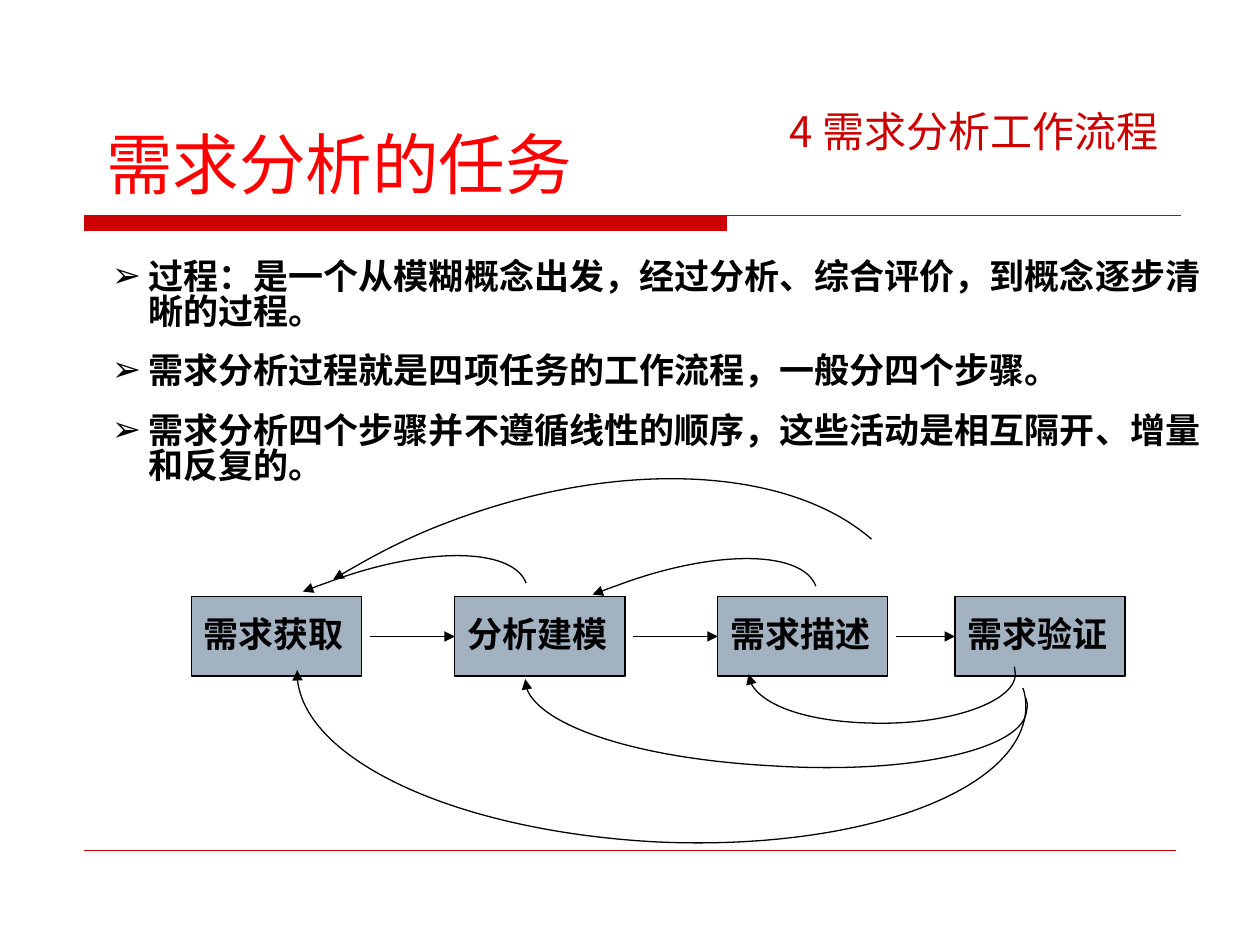
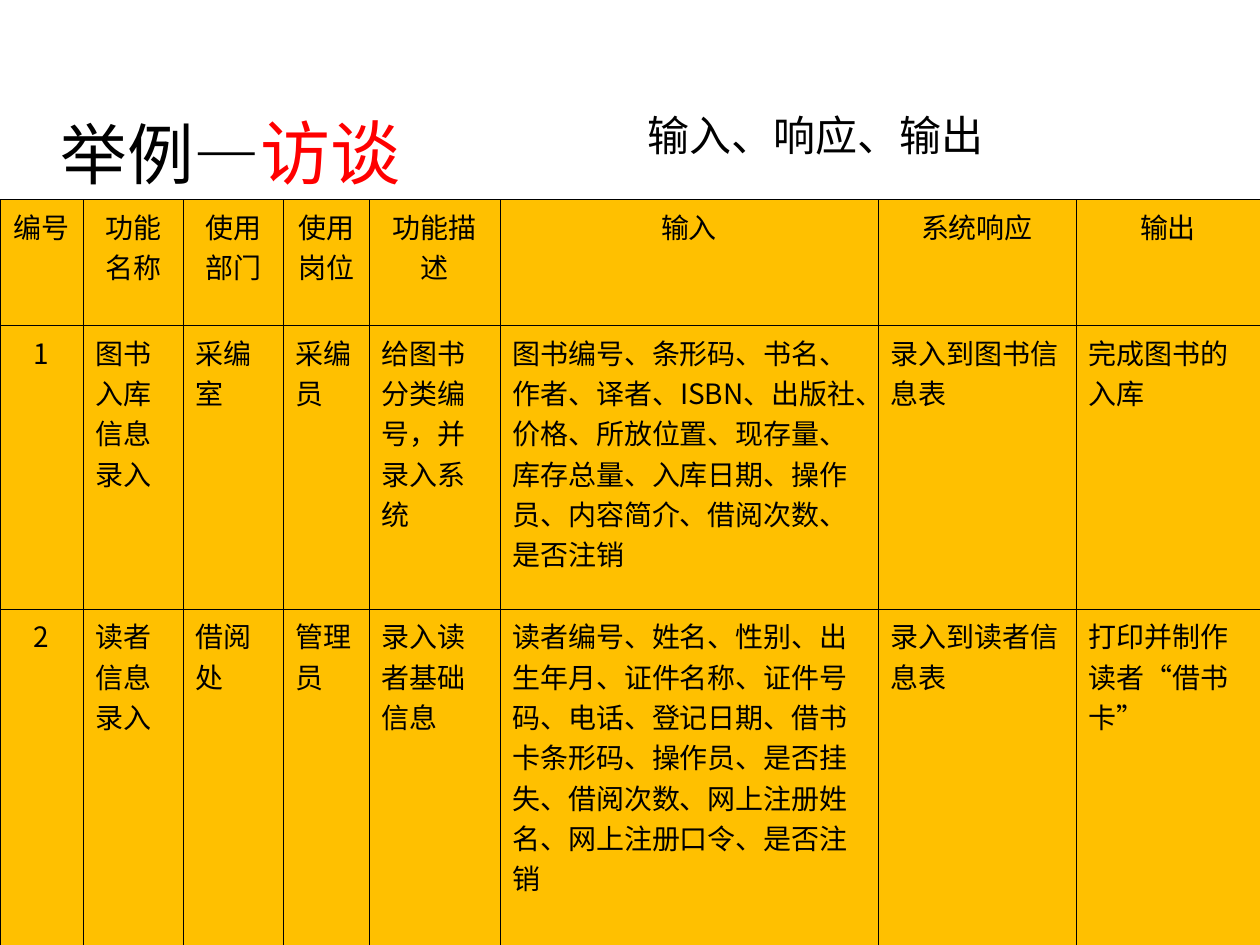
import math

import pptx
import pptx.util
import pptx.dml.color
import pptx.enum.shapes
import pptx.enum.text
import pptx.oxml.ns
from lxml import etree

Cm, Pt = pptx.util.Cm, pptx.util.Pt
qn = pptx.oxml.ns.qn
ALIGN = pptx.enum.text.PP_ALIGN
ANCHOR = pptx.enum.text.MSO_ANCHOR

COLORS = {"black": "000000", "red": "FF0000", "band": "CC0000",
          "box": "A3B2C1", "cell": "FFC000"}
SANS, SERIF = "Noto Sans CJK SC", "Times New Roman"


def rgb(name):
    return pptx.dml.color.RGBColor.from_string(COLORS[name])


def add_run(p, text, size=16, font=SANS, color="black", bold=False):
    """Append a formatted run; Chinese characters are always sans serif."""
    if font == SERIF:
        p.line_spacing = 0.84
    r = p.add_run()
    r.text = text
    r.font.size, r.font.name, r.font.bold = Pt(size), font, bold
    r.font.color.rgb = rgb(color)
    latin = r.font._element.find(qn("a:latin"))
    latin.addnext(etree.Element(qn("a:ea"), typeface=SANS))


def turn(point, pivot, degrees):
    a = math.radians(degrees)
    x, y = point[0] - pivot[0], point[1] - pivot[1]
    return (pivot[0] + x * math.cos(a) - y * math.sin(a),
            pivot[1] + x * math.sin(a) + y * math.cos(a))


class Deck:
    def __init__(self):
        self.prs = pptx.Presentation()
        self.prs.slide_width, self.prs.slide_height = Cm(25.4), Cm(19.05)
        self.s = None

    def slide(self, layout):
        self.s = self.prs.slides.add_slide(self.prs.slide_layouts[layout])

    def place(self, sp, x, y, w, h, anchor):
        sp.left, sp.top, sp.width, sp.height = Cm(x), Cm(y), Cm(w), Cm(h)
        tf = sp.text_frame
        tf.word_wrap = True
        tf.auto_size = pptx.enum.text.MSO_AUTO_SIZE.NONE
        tf.vertical_anchor = anchor
        return tf

    def title(self, x, y, w, h, *runs):
        tf = self.place(self.s.shapes.title, x, y, w, h, ANCHOR.BOTTOM)
        p = tf.paragraphs[0]
        p.alignment = ALIGN.LEFT
        for text, size, color in runs:
            add_run(p, text, size=size, color=color)

    def bullets(self, x, y, w, h, items):
        tf = self.place(self.s.placeholders[1], x, y, w, h, ANCHOR.TOP)
        for i, item in enumerate(items):
            p = tf.add_paragraph() if i else tf.paragraphs[0]
            p.space_before = Pt(13.8 if i else 0)
            pPr = p._p.get_or_add_pPr()
            pPr.set("marL", str(Cm(0.74)))
            pPr.set("indent", str(-Cm(0.74)))
            etree.SubElement(pPr, qn("a:buChar"), char="➢")
            add_run(p, item, size=20, font=SERIF, bold=True)

    def text(self, x, y, w, h, text, **fmt):
        sp = self.s.shapes.add_textbox(Cm(x), Cm(y), Cm(w), Cm(h))
        sp.text_frame.word_wrap = True
        add_run(sp.text_frame.paragraphs[0], text, **fmt)

    def rect(self, x, y, w, h, fill, line, text):
        sp = self.s.shapes.add_shape(pptx.enum.shapes.MSO_SHAPE.RECTANGLE,
                                     Cm(x), Cm(y), Cm(w), Cm(h))
        self.paint(sp, fill)
        self.stroke(sp, line)
        tf = self.place(sp, x, y, w, h, ANCHOR.MIDDLE)
        tf.paragraphs[0].alignment = ALIGN.LEFT
        add_run(tf.paragraphs[0], text, size=20, font=SERIF, bold=True)
        return sp

    def paint(self, sp, fill):
        sp.shadow.inherit = False
        sp.fill.solid()
        sp.fill.fore_color.rgb = rgb(fill)

    def stroke(self, sp, color, width=0.75, arrow=None):
        sp.line.color.rgb = rgb(color)
        sp.line.width = Pt(width)
        if arrow:
            etree.SubElement(sp.line._get_or_add_ln(), qn("a:" + arrow), type="triangle")

    def line(self, x1, y1, x2, y2, color, width=0.75, arrow=None, target=None):
        c = self.s.shapes.add_connector(pptx.enum.shapes.MSO_CONNECTOR.STRAIGHT,
                                        Cm(x1), Cm(y1), Cm(x2), Cm(y2))
        if target is not None:
            c.end_connect(target, 1)
        self.stroke(c, color, width, arrow)
        etree.SubElement(c._element.spPr, qn("a:effectLst"))
        return c

    def curve(self, points, hub, pivot=(0, 0), rotation=0, arrow="tailEnd"):
        """Elliptical arc around hub, in a frame turned about pivot."""
        center, start, *rest = [tuple(Cm(v) for v in turn(pt, pivot, -rotation))
                                for pt in [hub, *points]]
        fb = self.s.shapes.build_freeform(*center, scale=1.0)
        fb.move_to(*start)
        fb.add_line_segments(rest, close=False)
        sp = fb.convert_to_shape()
        sp.rotation = rotation
        sp.shadow.inherit = False
        sp.fill.background()
        self.stroke(sp, "black", arrow=arrow)
        # The hub only sizes the frame; each three points make one Bézier piece
        outline = next(sp.element.iter(qn("a:path")))
        outline.remove(outline[0])
        ends = [node[0] for node in outline[1:]]
        for node in outline[1:]:
            outline.remove(node)
        for i in range(0, len(ends), 3):
            etree.SubElement(outline, qn("a:cubicBezTo")).extend(ends[i:i + 3])

    def master_rules(self):
        """Title band and footer line, moved to the master for all slides."""
        left, top, right, bottom = Cm(1.7), Cm(4.34), Cm(14.65), Cm(4.65)
        fb = self.s.shapes.build_freeform(left, top, scale=1.0)
        fb.add_line_segments([(right, top), (right, bottom), (left, bottom)], close=True)
        fb.move_to(left, top)
        fb.add_line_segments([(Cm(23.8), top)], close=False)
        band = fb.convert_to_shape()
        self.paint(band, "band")
        self.stroke(band, "band")
        footer = self.line(1.7, 17.15, 23.7, 17.15, "band", 0.25)
        tree = self.prs.slide_master.element.cSld.spTree
        for number, sp in enumerate((band, footer), 101):
            next(sp.element.iter(qn("p:cNvPr"))).set("id", str(number))
            tree.append(sp.element)

    def table(self, x, y, widths, heights, rows):
        tb = self.s.shapes.add_table(len(rows), len(widths), Cm(x), Cm(y),
                                     Cm(sum(widths)), Cm(sum(heights))).table
        tb.first_row = tb.horz_banding = False
        for col, w in zip(tb.columns, widths):
            col.width = Cm(w)
        for row, h in zip(tb.rows, heights):
            row.height = Cm(h)
        for i, row in enumerate(rows):
            for j, value in enumerate(row):
                self.cell(tb.cell(i, j), value, centered=i == 0 or j == 0)

    def cell(self, cell, value, centered):
        tcPr = cell._tc.get_or_add_tcPr()
        for side in ("lnL", "lnR", "lnT", "lnB"):
            ln = etree.SubElement(tcPr, qn("a:" + side), w=str(Pt(0.45)))
            fill = etree.SubElement(ln, qn("a:solidFill"))
            etree.SubElement(fill, qn("a:srgbClr"), val=COLORS["black"])
        cell.fill.solid()
        cell.fill.fore_color.rgb = rgb("cell")
        p = cell.text_frame.paragraphs[0]
        p.alignment = ALIGN.CENTER if centered else ALIGN.LEFT
        runs = [value] if isinstance(value, str) else value
        for text in runs:
            add_run(p, text, font="Arial" if text in "“”" else SANS)


def workflow(d):
    d.slide(1)
    d.master_rules()
    d.title(1.89, 0.84, 21.9, 3.38, ("需求分析的任务", 38, "red"))
    d.bullets(2, 5.13, 22.92, 5.2, [
        "过程：是一个从模糊概念出发，经过分析、综合评价，到概念逐步清晰的过程。",
        "需求分析过程就是四项任务的工作流程，一般分四个步骤。",
        "需求分析四个步骤并不遵循线性的顺序，这些活动是相互隔开、增量和反复的。"])
    d.text(15.67, 2, 9.7, 1.27, "4 需求分析工作流程", size=24, color="band")

    # Long feedback curve above the steps
    tilt = 159.3
    d.curve([(6.73, 11.66), (7.47, 11.21), (8.26, 10.8), (9.09, 10.49),
             (12.45, 9.22), (15.88, 9.37), (17.58, 10.85)],
            (10.8, 14.96), (12.36, 11.82), tilt, "headEnd")

    # Steps, each joined to the next
    top, width, height, gap = 12.03, 3.43, 1.6, 0.16
    steps = [(3.86, "需求获取"), (9.17, "分析建模"),
             (14.47, "需求描述"), (19.25, "需求验证")]
    boxes = [d.rect(x, top, width, height, "box", "black", name) for x, name in steps]
    middle = top + height / 2
    for (x, _), (next_x, _), box in zip(steps, steps[1:], boxes[1:]):
        d.line(x + width + gap, middle, next_x, middle, "black",
               arrow="tailEnd", target=box)

    # Feedback curves that go one step back
    one_back = [(6.12, 11.96), (6.27, 11.91), (6.43, 11.84), (6.58, 11.79),
                (8.53, 11.05), (10.34, 11.05), (10.62, 11.79)]
    for dx, dy in [(0, 0), (5.84, 0.06)]:
        d.curve([(x + dx, y + dy) for x, y in one_back],
                (7.09 + dx, 13.13 + dy), (8.36 + dx, 11.86 + dy), tilt, "headEnd")

    # Feedback curves from the last step, below
    d.curve([(20.62, 13.87), (20.68, 14.02), (20.68, 14.17), (20.68, 14.3),
             (20.57, 16), (17.22, 17.17), (13.18, 16.97),
             (9.12, 16.74), (5.92, 15.19), (5.99, 13.51)],
            (13.34, 13.92), (13.27, 15.21), 3.1)
    d.curve([(20.68, 14.07), (20.7, 14.15), (20.73, 14.22), (20.7, 14.3),
             (20.68, 15.11), (18.36, 15.62), (15.57, 15.44),
             (12.78, 15.29), (10.54, 14.5), (10.59, 13.69)],
            (15.65, 14), (15.61, 14.61), 3.4)
    d.curve([(20.45, 13.44), (20.45, 13.49), (20.47, 13.54), (20.47, 13.59),
             (20.47, 14.12), (19.25, 14.58), (17.78, 14.58),
             (16.28, 14.58), (15.09, 14.12), (15.09, 13.59)],
            (17.78, 13.59))


def interview(d):
    d.slide(5)
    d.table(0, 4.02, [1.68, 2.01, 2.02, 1.73, 2.64, 7.62, 3.99, 3.71],
            [2.54, 5.72, 7.04], [
        ["编号", "功能名称", "使用部门", "使用岗位", "功能描述", "输入", "系统响应", "输出"],
        ["1", "图书入库信息录入", "采编室", "采编员", "给图书分类编号，并录入系统",
         "图书编号、条形码、书名、作者、译者、ISBN、出版社、价格、所放位置、现存量、"
         "库存总量、入库日期、操作员、内容简介、借阅次数、是否注销",
         "录入到图书信息表", "完成图书的入库"],
        ["2", "读者信息录入", "借阅处", "管理员", "录入读者基础信息",
         "读者编号、姓名、性别、出生年月、证件名称、证件号码、电话、登记日期、"
         "借书卡条形码、操作员、是否挂失、借阅次数、网上注册姓名、网上注册口令、是否注销",
         "录入到读者信息表", ["打印并制作读者", "“", "借书卡", "”"]]])
    d.title(0.97, 1.73, 21.59, 2.29, ("举例—", 38, "black"), ("访谈", 40, "red"))
    d.text(12.8, 2.24, 7.4, 1.27, "输入、响应、输出", size=24, font=SERIF)


def main():
    d = Deck()
    workflow(d)
    interview(d)
    d.prs.save("out.pptx")


if __name__ == "__main__":
    main()
